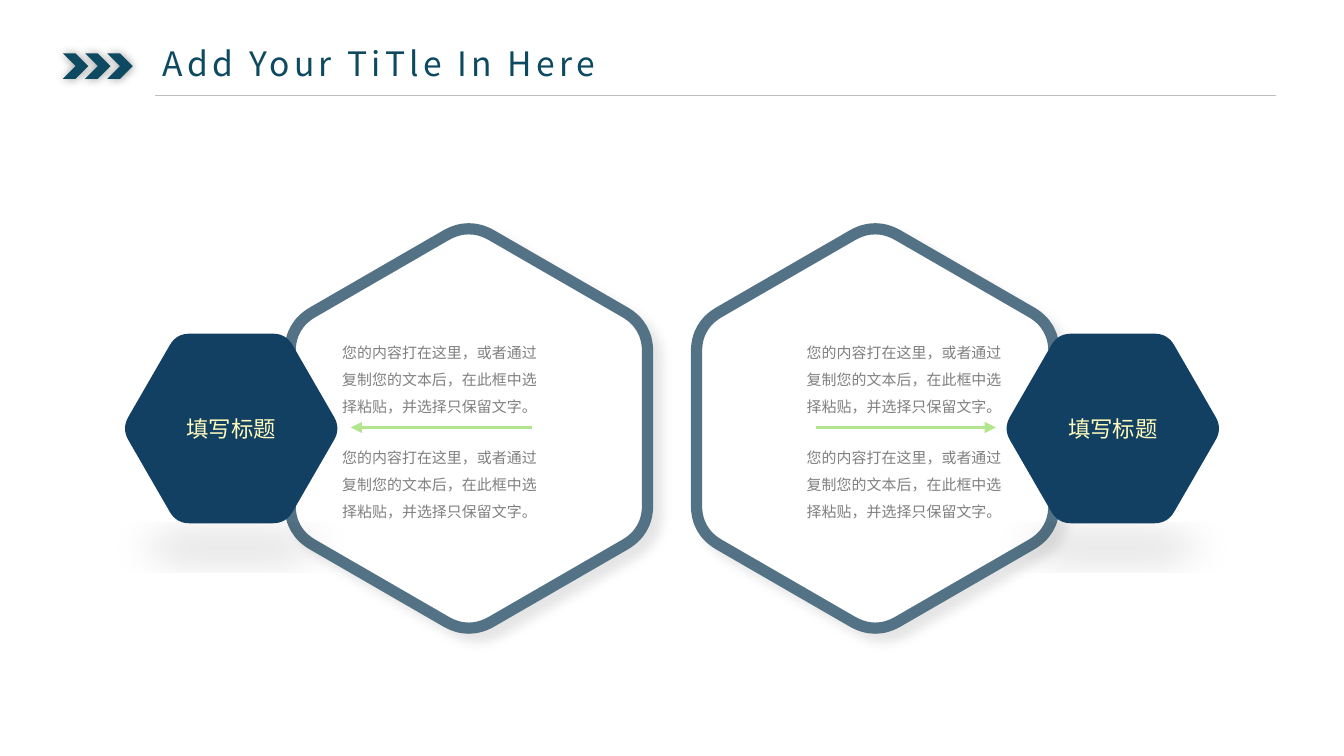
import math

import pptx
import pptx.dml.color
import pptx.enum.shapes
import pptx.enum.text
import pptx.oxml.ns
import pptx.util
from lxml import etree

Cm, Pt = pptx.util.Cm, pptx.util.Pt
qn = pptx.oxml.ns.qn
KIND = pptx.enum.shapes.MSO_SHAPE
LINK = pptx.enum.shapes.MSO_CONNECTOR
ALIGN = pptx.enum.text.PP_ALIGN
MIDDLE = pptx.enum.text.MSO_ANCHOR.MIDDLE

TITLE = "Add Your TiTle In Here"
LABEL = "填写标题"
BODY = "您的内容打在这里，或者通过复制您的文本后，在此框中选择粘贴，并选择只保留文字。"
BODIES = [(BODY, 6.22), (BODY, 8.21)]  # text and top in cm
SIDES = [-1, 1]  # left and right of the middle line

COLORS = {
    "teal": "0D4960", "rule": "BFBFBF", "white": "FFFFFF", "ring": "537285",
    "navy": "124062", "cream": "FEFABC", "green": "B1E58E", "gray": "808080",
}
SANS, TITLE_FONT = "Noto Sans CJK SC", "Noto Sans CJK JP"

# All lengths in cm
WIDE, HIGH = 25.4, 14.29
MID_X, MID_Y = WIDE / 2, 8.1
RING = dict(gap=3.84, radius=3.9, cut=0.5, turn=30)
BADGE = dict(gap=8.33, radius=2.07, cut=0.25, turn=0)
ARROWS = [(10.06, 6.63), (15.42, 18.82)]
ARROW_Y = 8.08
BOX = dict(gap=4.39, wide=4.1, high=1.73)


def tint(name):
    return pptx.dml.color.RGBColor.from_string(COLORS[name])


def write(shape, text, size, color, font=SANS, align=ALIGN.CENTER,
          space=None, track=None, pad=(0.18, 0.1)):
    frame = shape.text_frame
    frame.word_wrap = True
    frame.auto_size = pptx.enum.text.MSO_AUTO_SIZE.NONE
    frame.vertical_anchor = MIDDLE
    frame.margin_left = frame.margin_right = Cm(pad[0])
    frame.margin_top = frame.margin_bottom = Cm(pad[1])
    para = frame.paragraphs[0]
    para.alignment = align
    if space:
        para.line_spacing = space
    run = para.add_run()
    run.text = text
    run.font.size = Pt(size)
    run.font.name = font
    run.font.color.rgb = tint(color)
    props = run.font._element
    etree.SubElement(props, qn("a:ea"), typeface=font)
    if track:
        props.set("spc", str(round(track * 100)))


def shade(shape, alpha, blur, dist=0, angle=0, **scale):
    """Give a shape an outer shadow; blur and dist are in points."""
    shape.shadow.inherit = False
    effects = shape.element.spPr.find(qn("a:effectLst"))
    outer = etree.SubElement(
        effects, qn("a:outerShdw"), blurRad=str(Pt(blur)), dist=str(Pt(dist)),
        dir=str(angle * 60000), rotWithShape="0", **scale)
    black = etree.SubElement(outer, qn("a:srgbClr"), val="000000")
    etree.SubElement(black, qn("a:alpha"), val=str(alpha * 1000))


def paint(shape, fill, line=None, width=0):
    shape.fill.solid()
    shape.fill.fore_color.rgb = tint(fill)
    if line:
        shape.line.color.rgb = tint(line)
        shape.line.width = Pt(width)
    else:
        shape.line.fill.background()


def draw_line(shapes, start, end, color, width, head=False):
    line = shapes.add_connector(LINK.STRAIGHT, *map(Cm, start + end))
    line.line.color.rgb = tint(color)
    line.line.width = Pt(width)
    props = line.element.spPr
    if head:
        etree.SubElement(props.find(qn("a:ln")), qn("a:tailEnd"), type="triangle")
    etree.SubElement(props, qn("a:effectLst"))


def curve(shape):
    """Turn each corner's start, middle and end points into one Bezier curve."""
    points = list(shape.element.spPr.iter(qn("a:pt")))
    for i in range(0, 18, 3):
        start, mid, end = [
            [int(p.get(axis)) for axis in "xy"] for p in points[i:i + 3]]
        tip = [2 * m - (s + e) / 2 for s, m, e in zip(start, mid, end)]
        pulls = [[round(p + (t - p) * 2 / 3) for p, t in zip(spot, tip)]
                 for spot in (start, end)]
        step = points[i + 1].getparent()
        bend = etree.Element(qn("a:cubicBezTo"))
        for x, y in pulls + [end]:
            etree.SubElement(bend, qn("a:pt"), x=str(x), y=str(y))
        outline = step.getparent()
        outline.remove(points[i + 2].getparent())
        outline.replace(step, bend)


def draw_hex(shapes, side, gap, radius, cut, turn):
    """Draw a regular hexagon whose corners are rounded from cut cm away."""
    mid = MID_X + side * gap
    angles = [math.radians(turn + 60 * i) for i in range(6)]
    tips = [(mid + radius * math.cos(a), MID_Y + radius * math.sin(a))
            for a in angles]
    part = cut / radius  # a side is as long as the radius
    points = []
    for i, tip in enumerate(tips):
        before, after = tips[i - 1], tips[(i + 1) % 6]
        for pull, push in ((part, 0), (part / 4, part / 4), (0, part)):
            points.append(tuple(
                Cm(c + pull * (b - c) + push * (a - c))
                for c, b, a in zip(tip, before, after)))
    pen = shapes.build_freeform(*points[0])
    pen.add_line_segments(points[1:], close=True)
    shape = pen.convert_to_shape()
    curve(shape)
    return shape


def add_head(slide):
    group = slide.shapes.add_group_shape()
    for i in range(3):
        mark = group.shapes.add_shape(
            KIND.CHEVRON, Cm(1.19 + 0.42 * i), Cm(1.01), Cm(0.48), Cm(0.48))
        paint(mark, "teal")
        shade(mark, 40, 5)
    title = slide.shapes.title
    title.left, title.top, title.width, title.height = map(
        Cm, (2.93, 0.74, 11.05, 0.92))
    write(title, TITLE, 18, "teal", font=TITLE_FONT, align=ALIGN.LEFT,
          track=2.23, pad=(0.15, 0.08))
    draw_line(slide.shapes, (2.93, 1.81), (24.12, 1.81), "rule", 0.5)


def add_parts(shapes):
    for side in SIDES:
        ring = draw_hex(shapes, side, **RING)
        paint(ring, "white", "ring", 6)
        shade(ring, 10, 6, 6, 45)
    for side in SIDES:
        badge = draw_hex(shapes, side, **BADGE)
        paint(badge, "navy")
        shade(badge, 10, 19, 3, 90, sx="90000", sy="-19000")
        write(badge, LABEL, 12, "cream")
    for start, end in ARROWS:
        draw_line(shapes, (start, ARROW_Y), (end, ARROW_Y), "green", 1.5,
                  head=True)
    for side in SIDES:
        left = MID_X + side * BOX["gap"] - BOX["wide"] / 2
        for text, top in BODIES:
            box = shapes.add_textbox(
                Cm(left), Cm(top), Cm(BOX["wide"]), Cm(BOX["high"]))
            write(box, text, 8, "gray", space=1.5)


def main():
    deck = pptx.Presentation()
    deck.slide_width, deck.slide_height = Cm(WIDE), Cm(HIGH)
    slide = deck.slides.add_slide(deck.slide_layouts[5])
    add_head(slide)
    add_parts(slide.shapes)
    deck.save("out.pptx")


if __name__ == "__main__":
    main()
